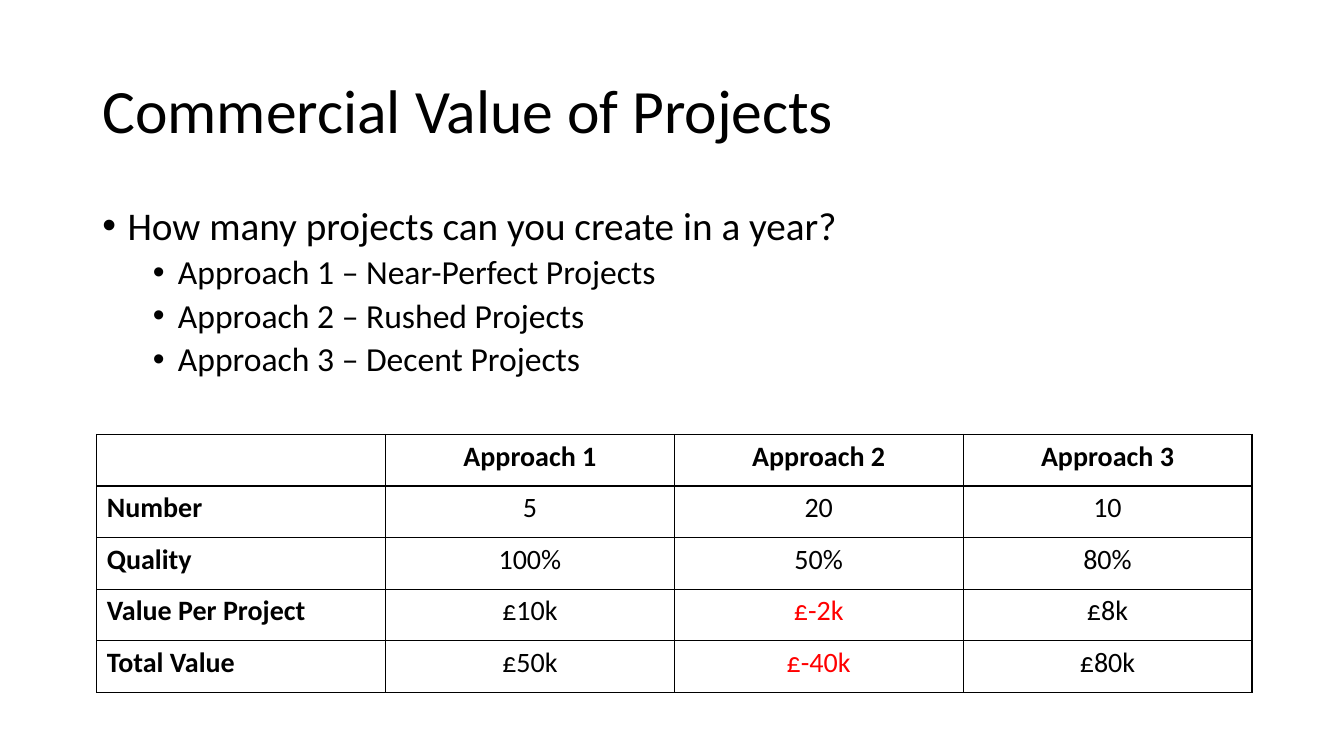
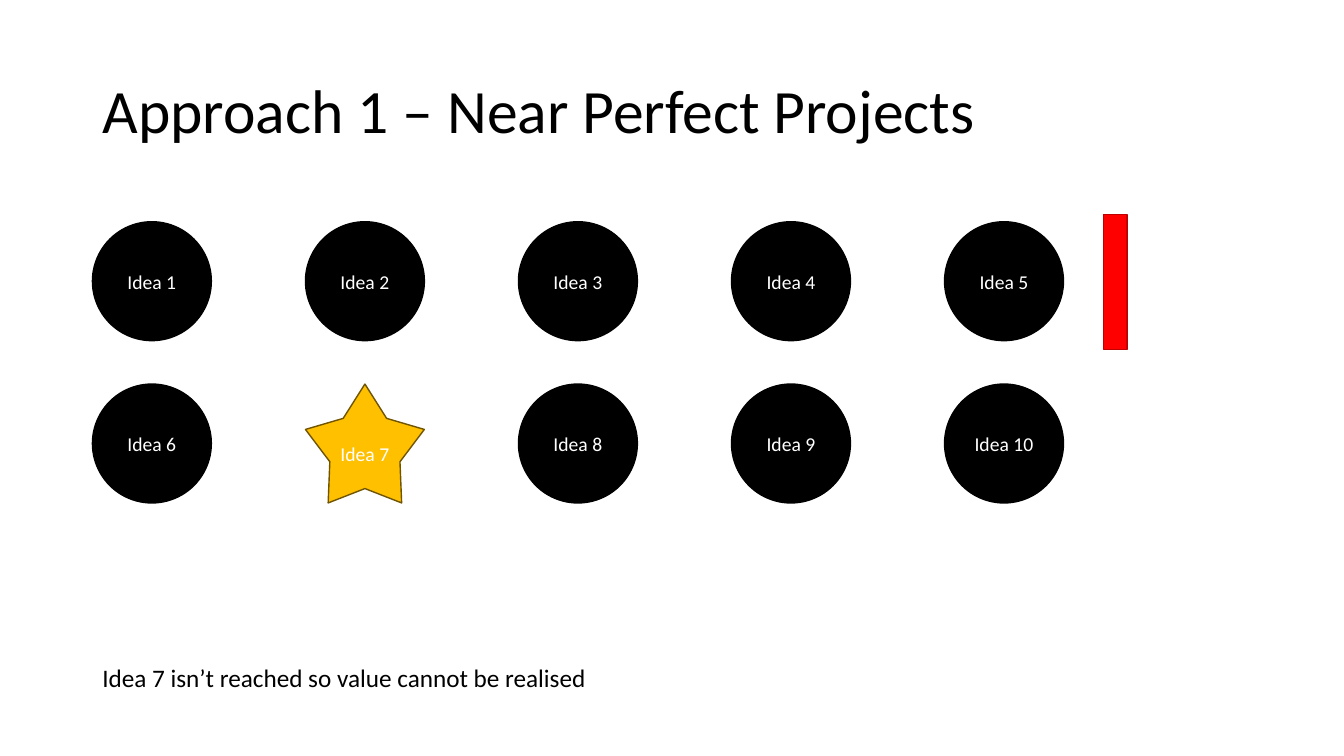
"""Build two slides on the commercial value of project approaches."""
from dataclasses import dataclass

import lxml.etree
import pptx
import pptx.dml.color
import pptx.enum.shapes
import pptx.enum.text
import pptx.oxml.ns
import pptx.slide
import pptx.text.text
import pptx.util

WIDE = pptx.util.Inches(13.33)
HIGH = pptx.util.Inches(7.5)
FONT = "Calibri"
HUES = {"ink": "000000", "paper": "FFFFFF", "alert": "FF0000", "edge": "C00000",
        "gold": "FFC000", "bronze": "705400"}
FORMS = pptx.enum.shapes.MSO_SHAPE
ALIGN = pptx.enum.text.PP_ALIGN
MIDDLE = pptx.enum.text.MSO_ANCHOR.MIDDLE


@dataclass(frozen=True)
class Box:
    """A frame in hundredths of the slide's width and height."""
    left: float
    top: float
    width: float
    height: float

    def place(self) -> tuple[int, int, int, int]:
        """Return left, top, width and height as slide lengths."""
        return (round(WIDE * self.left / 100), round(HIGH * self.top / 100),
                round(WIDE * self.width / 100), round(HIGH * self.height / 100))


@dataclass(frozen=True)
class Look:
    """Form, fill, line and waist of a shape."""
    form: FORMS
    fill: str
    line: str
    waist: float | None = None


@dataclass(frozen=True)
class Point:
    """A bullet line and its level."""
    text: str
    level: int = 0


TITLE = Box(6.88, 5.33, 86.25, 19.33)
BODY = Box(6.88, 26.67, 86.25, 30.8)
TABLE = Box(7.2, 57.47, 85.95, 34.13)
FIRST = Box(6.88, 29.33, 8.85, 15.73)
STEP_X, STEP_Y, COLS, IDEAS = 15.85, 21.47, 5, 10
STOP = Box(82.13, 28.4, 1.73, 17.87)
NOTE = Box(6.88, 86.93, 40.58, 5.33)

DISC = Look(FORMS.OVAL, "ink", "ink")
STAR = Look(FORMS.STAR_5_POINT, "gold", "bronze", 0.295)
BAR = Look(FORMS.RECTANGLE, "alert", "edge")
PRIZE = 7

POINTS = [
    Point("How many projects can you create in a year?"),
    Point("Approach 1 – Near-Perfect Projects", 1),
    Point("Approach 2 – Rushed Projects", 1),
    Point("Approach 3 – Decent Projects", 1),
]
VALUES = [
    ["", "Approach 1", "Approach 2", "Approach 3"],
    ["Number", "5", "20", "10"],
    ["Quality", "100%", "50%", "80%"],
    ["Value Per Project", "£10k", "£-2k", "£8k"],
    ["Total Value", "£50k", "£-40k", "£80k"],
]


def tint(name: str) -> pptx.dml.color.RGBColor:
    """Return a named colour."""
    return pptx.dml.color.RGBColor.from_string(HUES[name])


def style(para: pptx.text.text._Paragraph, size: float, hue: str = "ink",
          bold: bool = False, align: ALIGN = ALIGN.LEFT) -> None:
    """Format a paragraph and its runs."""
    para.alignment = align
    for run in para.runs:
        run.font.name = FONT
        run.font.size = pptx.util.Pt(size)
        run.font.bold = bold
        run.font.color.rgb = tint(hue)


def add_slide(deck: pptx.presentation.Presentation, text: str) -> pptx.slide.Slide:
    """Add a slide with the shared title."""
    slide = deck.slides.add_slide(deck.slide_layouts[5])
    title = slide.shapes.title
    title.left, title.top, title.width, title.height = TITLE.place()
    frame = title.text_frame
    frame.text = text
    frame.auto_size = pptx.enum.text.MSO_AUTO_SIZE.NONE
    frame.vertical_anchor = MIDDLE
    frame.paragraphs[0].line_spacing = 0.9
    style(frame.paragraphs[0], 44)
    return slide


def add_frame(slide: pptx.slide.Slide, box: Box) -> pptx.text.text.TextFrame:
    """Add a text box that wraps and return its frame."""
    frame = slide.shapes.add_textbox(*box.place()).text_frame
    frame.word_wrap = True
    return frame


def add_points(slide: pptx.slide.Slide, points: list[Point]) -> None:
    """Add the bullet list."""
    frame = add_frame(slide, BODY)
    for rank, point in enumerate(points):
        para = frame.add_paragraph() if rank else frame.paragraphs[0]
        para.text = point.text
        para.level = point.level
        props = para._p.get_or_add_pPr()
        props.set("marL", str(pptx.util.Inches(0.25 + 0.5 * point.level)))
        props.set("indent", str(pptx.util.Inches(-0.25)))
        for tag, key, value in (("a:buFont", "typeface", "Arial"), ("a:buChar", "char", "•")):
            lxml.etree.SubElement(props, pptx.oxml.ns.qn(tag)).set(key, value)
        para.line_spacing = 0.9
        if rank:
            para.space_before = pptx.util.Pt(5)
        style(para, 28 - 4 * point.level)


def add_edges(cell: pptx.table._Cell) -> None:
    """Draw a thin line on each side of a cell."""
    props = cell._tc.get_or_add_tcPr()
    for side in ("a:lnL", "a:lnR", "a:lnT", "a:lnB"):
        line = lxml.etree.SubElement(props, pptx.oxml.ns.qn(side), w=str(pptx.util.Pt(1)))
        fill = lxml.etree.SubElement(line, pptx.oxml.ns.qn("a:solidFill"))
        lxml.etree.SubElement(fill, pptx.oxml.ns.qn("a:srgbClr"), val=HUES["ink"])


def add_grid(slide: pptx.slide.Slide, values: list[list[str]]) -> None:
    """Add the table of values, with losses in red."""
    table = slide.shapes.add_table(len(values), len(values[0]), *TABLE.place()).table
    table.first_row = table.horz_banding = False
    for row, texts in enumerate(values):
        for col, text in enumerate(texts):
            cell = table.cell(row, col)
            add_edges(cell)
            cell.fill.background()
            cell.text_frame.text = text
            style(cell.text_frame.paragraphs[0], 20,
                  "alert" if text.startswith("£-") else "ink",
                  row == 0 or col == 0, ALIGN.CENTER if col else ALIGN.LEFT)


def add_form(slide: pptx.slide.Slide, box: Box, look: Look, text: str = "") -> None:
    """Add a filled shape with a centred label."""
    shape = slide.shapes.add_shape(look.form, *box.place())
    shape.shadow.inherit = False
    shape.fill.solid()
    shape.fill.fore_color.rgb = tint(look.fill)
    shape.line.color.rgb = tint(look.line)
    shape.line.width = pptx.util.Pt(1)
    if look.waist is not None:
        shape.adjustments[0] = look.waist
    if text:
        shape.text_frame.text = text
        shape.text_frame.vertical_anchor = MIDDLE
        style(shape.text_frame.paragraphs[0], 14, "paper", align=ALIGN.CENTER)


def add_ideas(slide: pptx.slide.Slide) -> None:
    """Lay the ideas out in rows."""
    for rank in range(IDEAS):
        row, col = divmod(rank, COLS)
        box = Box(FIRST.left + col * STEP_X, FIRST.top + row * STEP_Y,
                  FIRST.width, FIRST.height)
        add_form(slide, box, STAR if rank + 1 == PRIZE else DISC, f"Idea {rank + 1}")


def main() -> None:
    """Build and save the deck."""
    deck = pptx.Presentation()
    deck.slide_width, deck.slide_height = WIDE, HIGH

    slide = add_slide(deck, "Commercial Value of Projects")
    add_points(slide, POINTS)
    add_grid(slide, VALUES)

    slide = add_slide(deck, "Approach 1 – Near Perfect Projects")
    add_ideas(slide)
    add_form(slide, STOP, BAR)
    note = add_frame(slide, NOTE)
    note.text = "Idea 7 isn’t reached so value cannot be realised"
    style(note.paragraphs[0], 18)

    deck.save("out.pptx")


if __name__ == "__main__":
    main()
